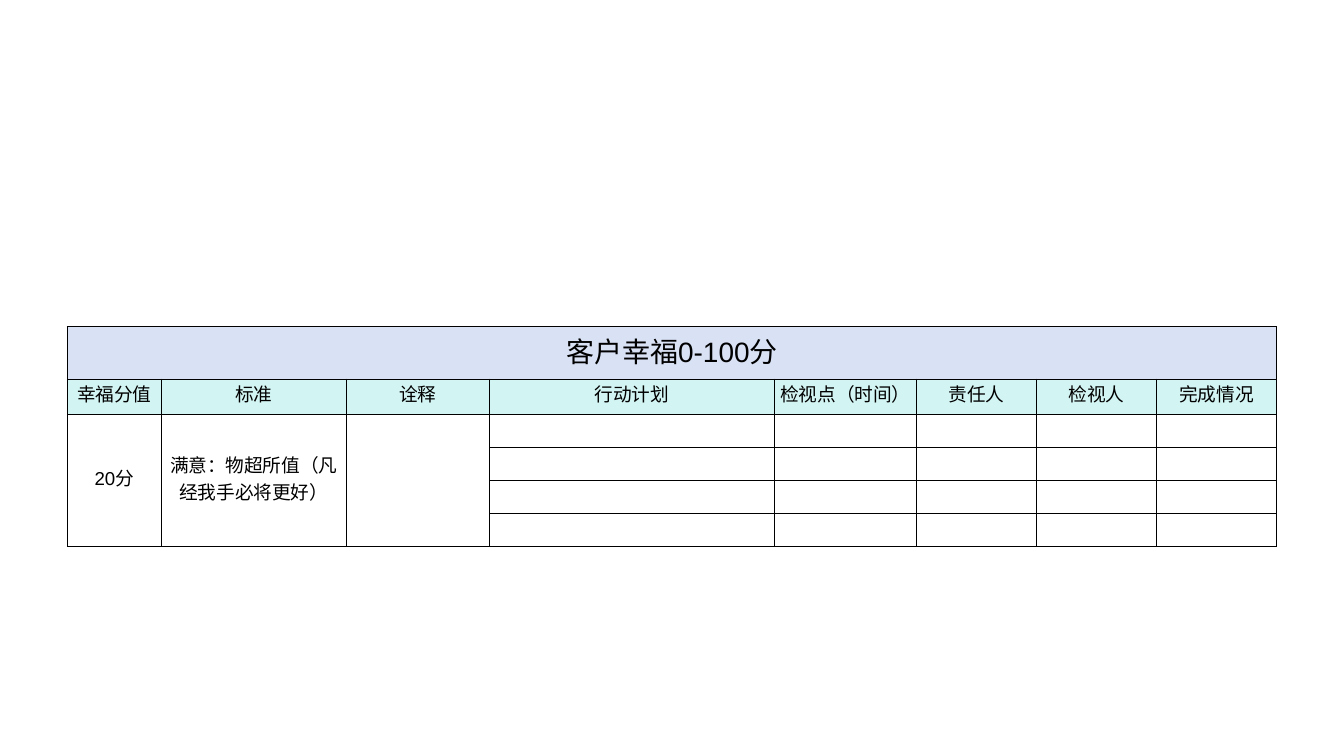
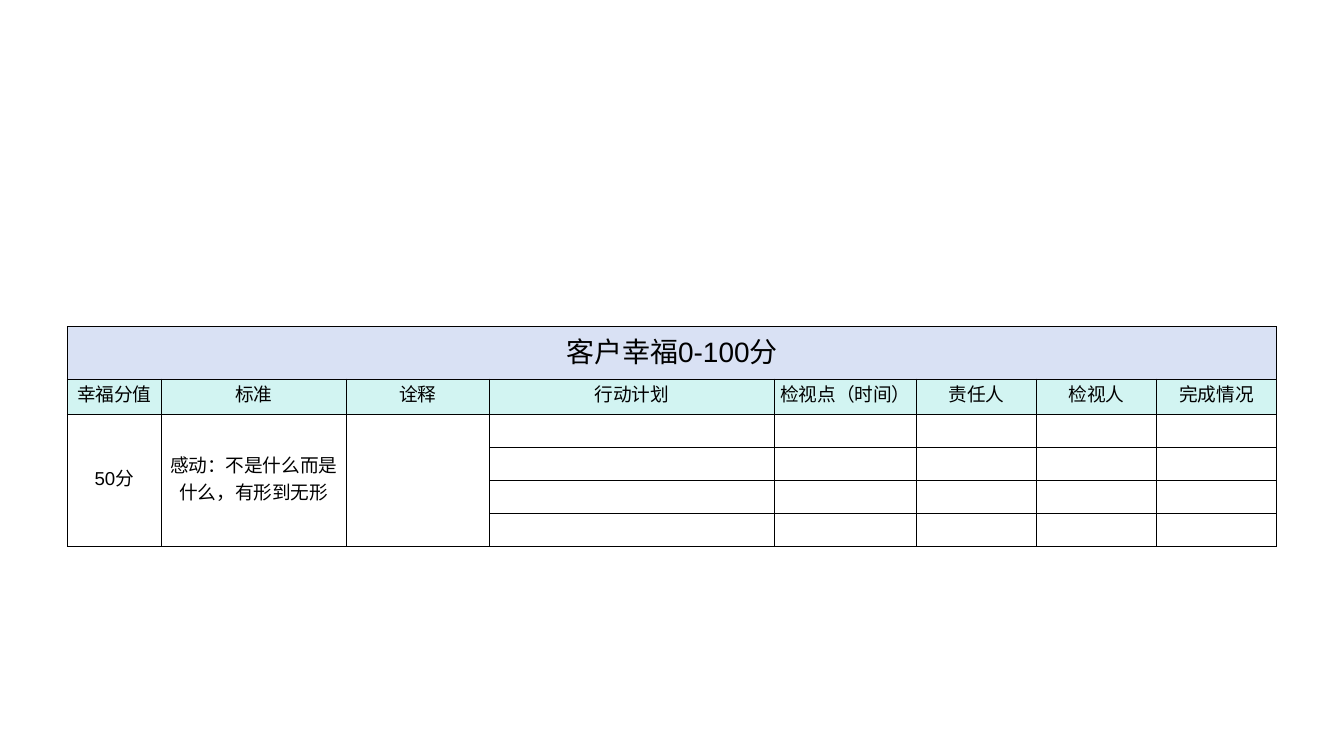
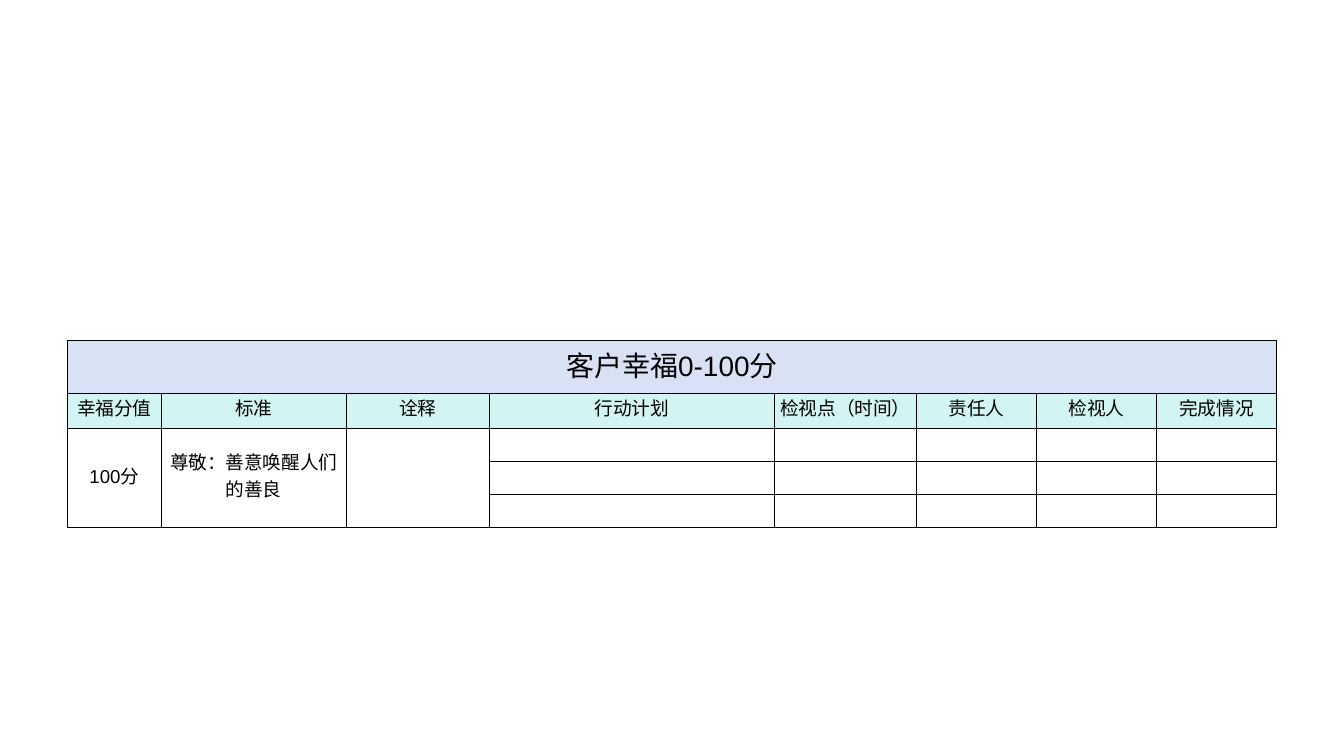
from lxml.etree import SubElement
from pptx import Presentation
from pptx.dml.color import RGBColor
from pptx.enum.text import MSO_ANCHOR, PP_ALIGN
from pptx.oxml.ns import qn
from pptx.util import Inches, Pt

HUES = {"ink": "000000", "band": "D9E1F4", "head": "D2F4F2", "page": "FFFFFF"}
UNIT = Inches(0.1)
COLS = [7, 13.75, 10.7, 21.15, 10.6] + [8.93] * 3
TITLE = "客户幸福0-100分"
HEADS = ["幸福分值", "标准", "诠释", "行动计划", "检视点（时间）", "责任人", "检视人", "完成情况"]
PLANS = [
    ("20分", "满意：物超所值（凡经我手必将更好）", 4, 24.3),
    ("50分", "感动：不是什么而是什么，有形到无形", 4, 24.3),
    ("100分", "尊敬：善意唤醒人们的善良", 3, 25.35),
]


class Deck:
    font = "Arial"

    def __init__(self):
        self.prs = Presentation()
        self.prs.slide_width = Inches(10)
        self.prs.slide_height = Inches(10) * 9 // 16
        self.slide = None

    def page(self):
        self.slide = self.prs.slides.add_slide(self.prs.slide_layouts[6])

    def edge(self, cell):
        props = cell._tc.get_or_add_tcPr()
        for side in ("lnL", "lnR", "lnT", "lnB"):
            line = SubElement(props, qn(f"a:{side}"), w=str(int(Pt(0.5))))
            fill = SubElement(line, qn("a:solidFill"))
            SubElement(fill, qn("a:srgbClr"), val=HUES["ink"])

    def cell(self, cell, text, hue, size):
        self.edge(cell)
        cell.fill.solid()
        cell.fill.fore_color.rgb = RGBColor.from_string(HUES[hue])
        cell.vertical_anchor = MSO_ANCHOR.MIDDLE
        cell.margin_left = cell.margin_right = cell.margin_top = Inches(0.01)
        cell.margin_bottom = Inches(0.05)
        cell.text = text
        para = cell.text_frame.paragraphs[0]
        para.alignment = PP_ALIGN.CENTER
        para.font.name = self.font
        para.font.size = Pt(size)
        para.font.color.rgb = RGBColor.from_string(HUES["ink"])
        if not text:
            SubElement(para._p, qn("a:endParaRPr"), sz=str(size * 100))

    def table(self, score, goal, count, top):
        rows = [3.9, 2.6] + [2.47] * count
        box = [int(n * UNIT) for n in (5, top, sum(COLS), sum(rows))]
        table = self.slide.shapes.add_table(len(rows), len(COLS), *box).table
        for col, width in zip(table.columns, COLS):
            col.width = int(width * UNIT)
        for row, height in zip(table.rows, rows):
            row.height = int(height * UNIT)
        blank = [""] * len(COLS)
        texts = [[TITLE] + blank[1:], HEADS, [score, goal] + blank[2:]]
        texts += [blank] * (count - 1)
        hues = ["band", "head"] + ["page"] * count
        for r, (line, hue) in enumerate(zip(texts, hues)):
            for c, text in enumerate(line):
                self.cell(table.cell(r, c), text, hue, 10 if r else 15)
        table.cell(0, 0).merge(table.cell(0, len(COLS) - 1))
        for c in range(3):
            table.cell(2, c).merge(table.cell(count + 1, c))


def main():
    deck = Deck()
    for plan in PLANS:
        deck.page()
        deck.table(*plan)
    deck.prs.save("out.pptx")


if __name__ == "__main__":
    main()
